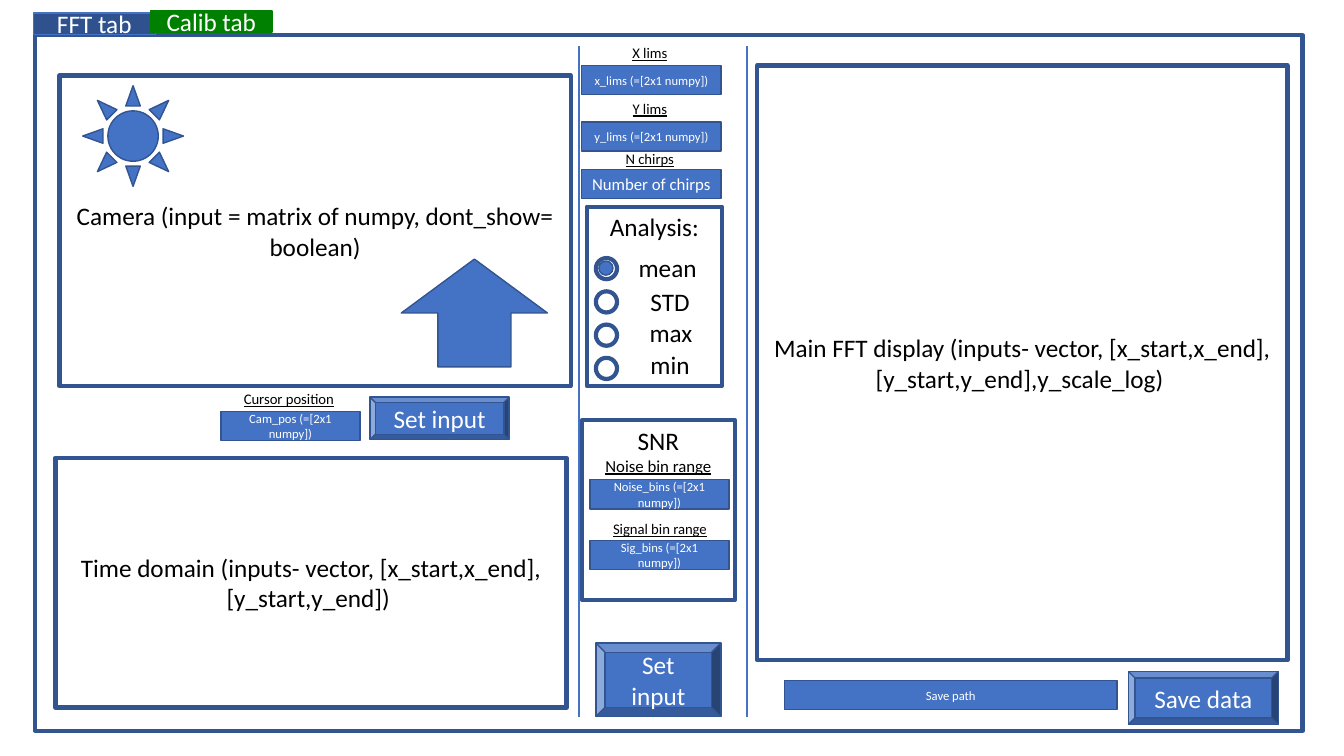
"""Build the FFT control panel layout slide."""
from dataclasses import dataclass

import pptx
import pptx.dml.color
import pptx.enum.shapes
import pptx.enum.text
import pptx.oxml.ns
import pptx.shapes.autoshape
import pptx.slide
import pptx.util
from lxml import etree

Inches = pptx.util.Inches
KIND = pptx.enum.shapes.MSO_SHAPE
ANCHOR = pptx.enum.text.MSO_ANCHOR
HUES = {"blue": "4472C4", "edge": "325491", "tab": "2F528F", "green": "008000",
        "white": "FFFFFF", "black": "000000"}


@dataclass
class Panel:
    """An outlined area with large black text."""
    left: float
    top: float
    width: float
    height: float
    text: str = ""
    anchor: ANCHOR = ANCHOR.MIDDLE


@dataclass
class Field:
    """A filled entry box."""
    left: float
    top: float
    text: str
    width: float = 1.38
    size: float = 9


@dataclass
class Label:
    """A line of free text."""
    left: float
    top: float
    width: float
    text: str
    size: float = 10.5
    height: float = 0.28


@dataclass
class Button:
    """A raised push button."""
    left: float
    top: float
    width: float
    height: float
    text: str


@dataclass
class Tab:
    """A tab on the upper edge."""
    left: float
    top: float
    text: str
    fill: str
    line: str


PANELS = [
    Panel(0.35, 0.35, 12.57, 6.9),
    Panel(0.59, 0.75, 5.07, 3.08, "Camera (input = matrix of numpy, dont_show= boolean)"),
    Panel(7.51, 0.65, 5.26, 5.9,
          "Main FFT display (inputs- vector, [x_start,x_end],[y_start,y_end],y_scale_log) "),
    Panel(0.55, 4.54, 5.07, 2.48,
          "Time domain (inputs- vector, [x_start,x_end],[y_start,y_end]) "),
    Panel(5.82, 2.05, 1.34, 1.78, "Analysis:", ANCHOR.TOP),
]
SNR = Panel(5.77, 4.17, 1.52, 1.78, "SNR", ANCHOR.TOP)
FIELDS = [
    Field(5.77, 0.65, "x_lims (=[2x1 numpy])"),
    Field(5.77, 1.21, "y_lims (=[2x1 numpy])"),
    Field(5.77, 1.68, "Number of chirps", size=12),
    Field(2.19, 4.08, "Cam_pos (=[2x1 numpy])"),
    Field(5.85, 4.76, "Noise_bins (=[2x1 numpy])"),
    Field(5.85, 5.36, "Sig_bins (=[2x1 numpy])"),
    Field(7.78, 6.75, "Save path", width=3.3),
]
HEADS = [
    Label(6.17, 0.39, 0.55, "X lims"),
    Label(6.17, 0.94, 0.55, "Y lims"),
    Label(6.1, 1.44, 0.69, "N chirps"),
    Label(2.31, 3.82, 1.11, "Cursor position"),
    Label(5.97, 5.11, 1.15, "Signal bin range"),
]
MODES = [
    Label(6.23, 2.45, 0.84, "mean ", 18, 0.4),
    Label(6.35, 2.79, 0.59, "STD", 18, 0.4),
    Label(6.34, 3.1, 0.63, "max", 18, 0.4),
    Label(6.35, 3.42, 0.59, "min", 18, 0.4),
]
BUTTONS = [
    Button(5.91, 6.38, 1.24, 0.73, "Set input"),
    Button(11.19, 6.66, 1.49, 0.53, "Save data"),
    Button(3.67, 3.94, 1.38, 0.42, "Set input"),
]
TABS = [
    Tab(0.33, 0.13, "FFT tab", "tab", "blue"),
    Tab(1.49, 0.11, "Calib tab", "green", "green"),
]

Slide = pptx.slide.Slide
Shape = pptx.shapes.autoshape.Shape


def hue(name: str) -> pptx.dml.color.RGBColor:
    """Look up a colour by name."""
    return pptx.dml.color.RGBColor.from_string(HUES[name])


def write(shape: Shape, text: str, *, size: float = 18, color: str = "white",
          under: bool = False) -> None:
    """Add a centred paragraph to a shape."""
    frame = shape.text_frame
    para = frame.add_paragraph() if frame.text else frame.paragraphs[0]
    para.alignment = pptx.enum.text.PP_ALIGN.CENTER
    run = para.add_run()
    run.text = text
    run.font.name = "Calibri"
    run.font.size = pptx.util.Pt(size)
    run.font.color.rgb = hue(color)
    if under:
        run.font.underline = True


def draw(slide: Slide, kind: KIND, left: float, top: float, width: float, height: float,
         *, fill: str = "blue", line: str = "edge", weight: float = 1) -> Shape:
    """Draw a preset shape; an empty fill name leaves it hollow."""
    shape = slide.shapes.add_shape(kind, Inches(left), Inches(top),
                                   Inches(width), Inches(height))
    shape.shadow.inherit = False
    if fill:
        shape.fill.solid()
        shape.fill.fore_color.rgb = hue(fill)
    else:
        shape.fill.background()
    shape.line.color.rgb = hue(line)
    shape.line.width = pptx.util.Pt(weight)
    return shape


def frame(slide: Slide, item: Panel) -> Shape:
    """Draw an outlined panel."""
    shape = draw(slide, KIND.RECTANGLE, item.left, item.top, item.width, item.height,
                 fill="", weight=3)
    shape.text_frame.vertical_anchor = item.anchor
    if item.text:
        write(shape, item.text, color="black")
    return shape


def label(slide: Slide, item: Label, under: bool) -> None:
    """Place a line of text that does not wrap."""
    box = slide.shapes.add_textbox(Inches(item.left), Inches(item.top),
                                   Inches(item.width), Inches(item.height))
    box.text_frame.word_wrap = False
    box.text_frame.auto_size = pptx.enum.text.MSO_AUTO_SIZE.SHAPE_TO_FIT_TEXT
    write(box, item.text, size=item.size, color="black", under=under)


def divide(slide: Slide, left: float) -> None:
    """Draw an upright line between columns."""
    rule = slide.shapes.add_connector(pptx.enum.shapes.MSO_CONNECTOR.STRAIGHT, Inches(left),
                                      Inches(0.46), Inches(left), Inches(7.11))
    rule.line.color.rgb = hue("blue")
    rule.line.width = pptx.util.Pt(1.5)
    etree.SubElement(rule._element.spPr, pptx.oxml.ns.qn("a:effectLst"))


def main() -> None:
    """Build and save the slide."""
    deck = pptx.Presentation()
    deck.slide_width, deck.slide_height = Inches(13.33), Inches(7.5)
    slide = deck.slides.add_slide(deck.slide_layouts[6])
    for item in PANELS:
        frame(slide, item)
    write(frame(slide, SNR), "Noise bin range", size=12, color="black", under=True)
    draw(slide, KIND.DOWN_ARROW, 3.98, 2.57, 1.45, 1.07).rotation = 180
    draw(slide, KIND.SUN, 0.82, 0.85, 1, 1)
    for row, mode in enumerate(MODES):
        draw(slide, KIND.OVAL, 5.91, 2.56 + 0.33 * row, 0.21, 0.21, fill="", weight=3)
        label(slide, mode, False)
    draw(slide, KIND.OVAL, 5.94, 2.59, 0.14, 0.14)
    for item in FIELDS:
        box = draw(slide, KIND.RECTANGLE, item.left, item.top, item.width, 0.29)
        write(box, item.text, size=item.size)
    for item in HEADS:
        label(slide, item, True)
    for item in BUTTONS:
        write(draw(slide, KIND.BEVEL, item.left, item.top, item.width, item.height), item.text)
    for left in (5.74, 7.41):
        divide(slide, left)
    for item in TABS:
        write(draw(slide, KIND.RECTANGLE, item.left, item.top, 1.21, 0.21,
                   fill=item.fill, line=item.line), item.text)
    deck.save("out.pptx")


if __name__ == "__main__":
    main()
